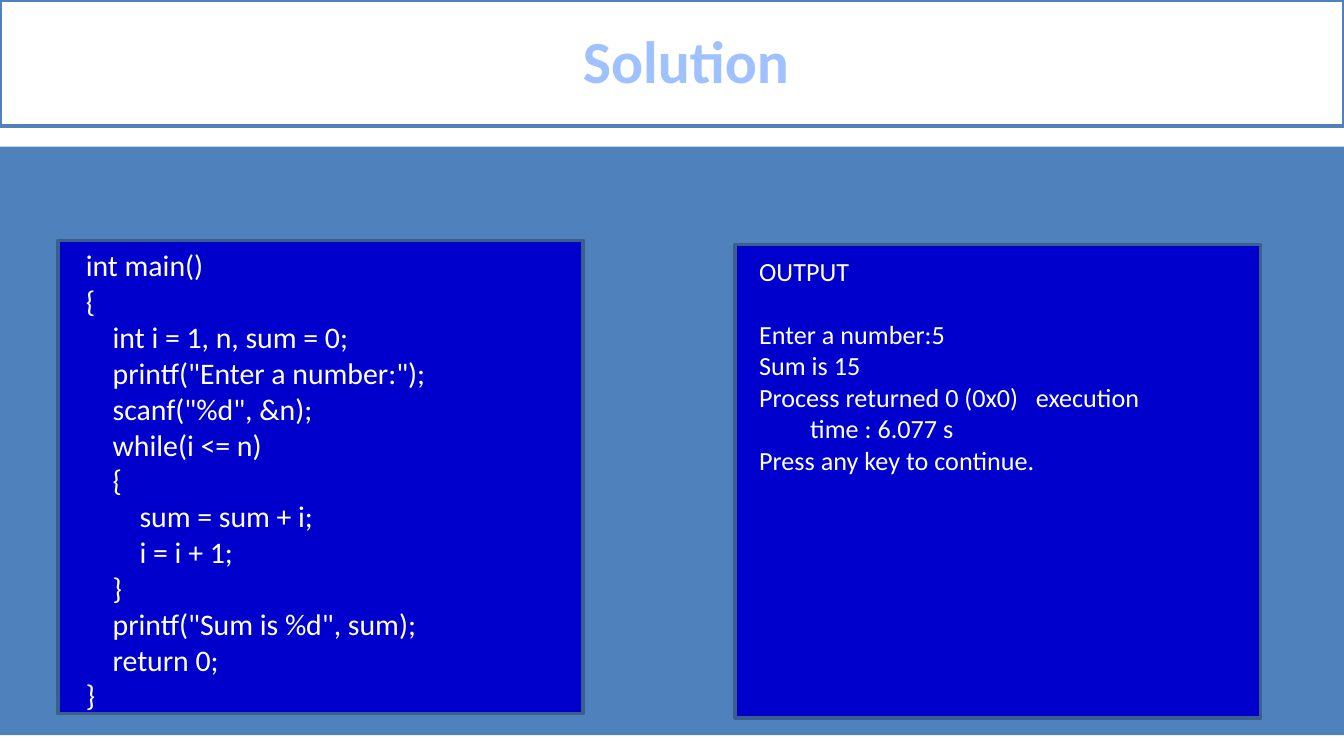
"""Build the Solution slide: a C program beside its console output."""
import pptx
import pptx.dml.color
import pptx.enum.shapes
import pptx.enum.text
import pptx.util
from pptx.util import Inches

THEME = {
    "font": "Calibri",
    "white": "FFFFFF",
    "band": "4F81BD",
    "title": "A0C1FF",
    "panel": "0000CC",
    "edge": "3A5F8C",
    "title_size": 32,
    "code_size": 16,
    "output_size": 14,
    "line": 2,
}

CODE = """int main()
{
    int i = 1, n, sum = 0;
    printf("Enter a number:");
    scanf("%d", &n);
    while(i <= n)
    {
        sum = sum + i;
        i = i + 1;
    }
    printf("Sum is %d", sum);
    return 0;
}"""

OUTPUT = """OUTPUT
Enter a number:5
Sum is 15
Process returned 0 (0x0)   execution time : 6.077 s
Press any key to continue."""


def paint(shape, fill, line=None):
    shape.fill.solid()
    shape.fill.fore_color.rgb = pptx.dml.color.RGBColor.from_string(THEME[fill])
    if line:
        shape.line.color.rgb = pptx.dml.color.RGBColor.from_string(THEME[line])
        shape.line.width = pptx.util.Pt(THEME["line"])
    else:
        shape.line.fill.background()


def style(para, size, color, left, hanging):
    properties = para._p.get_or_add_pPr()
    properties.set("marL", str(Inches(left)))
    properties.set("indent", str(-Inches(hanging)))
    for span in para.runs:
        span.font.name = THEME["font"]
        span.font.size = pptx.util.Pt(THEME[size])
        span.font.color.rgb = pptx.dml.color.RGBColor.from_string(THEME[color])


deck = pptx.Presentation()
deck.slide_width = Inches(10)
deck.slide_height = deck.slide_width * 9 // 16
slide = deck.slides.add_slide(deck.slide_layouts[5])
rectangle = pptx.enum.shapes.MSO_SHAPE.RECTANGLE

title = slide.shapes.title
title.left, title.top, title.width, title.height = 0, 0, Inches(10), Inches(0.94)
paint(title, "white", "band")
title.text_frame.text = "Solution"
title.text_frame.vertical_anchor = pptx.enum.text.MSO_ANCHOR.MIDDLE
heading = title.text_frame.paragraphs[0]
heading.alignment = pptx.enum.text.PP_ALIGN.CENTER
heading.line_spacing = 0.96
style(heading, "title_size", "title", 0.21, 0)
heading.runs[0].font.bold = True

band = slide.shapes.add_shape(rectangle, 0, Inches(1.09), Inches(10), Inches(4.38))
band.shadow.inherit = False
paint(band, "band")

columns = [
    ((0.43, 1.79), (0.04, 1.79, 4.26, 3.6), CODE, "code_size", 0.88, 1, 0.1),
    ((5.47, 1.82), (5.55, 1.85, 3.52, 1.75), OUTPUT, "output_size", 0.38, 0, 0.4),
]
for corner, area, text, size, left, level, right_margin in columns:
    panel = slide.shapes.add_shape(rectangle, *map(Inches, corner), Inches(3.91), Inches(3.52))
    panel.shadow.inherit = False
    paint(panel, "panel", "edge")
    box = slide.shapes.add_textbox(*map(Inches, area))
    frame = box.text_frame
    frame.word_wrap = True
    frame.margin_right = Inches(right_margin)
    frame.text = text
    for para in frame.paragraphs:
        para.level = level
        style(para, size, "white", left, 0.38)

frame.paragraphs[1].space_before = pptx.util.Pt(17)

deck.save("out.pptx")
